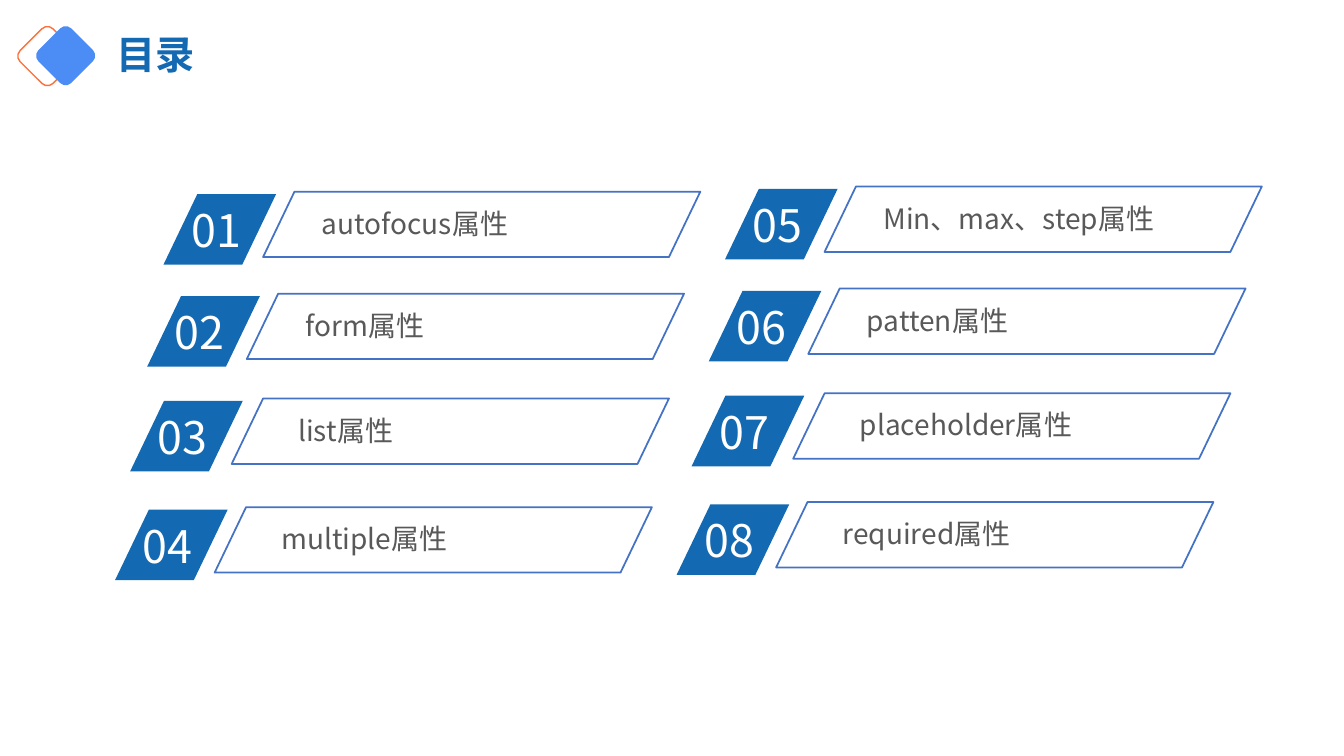
from dataclasses import dataclass

from lxml.etree import SubElement as Sub
from pptx import Presentation
from pptx.dml.color import RGBColor as RGB
from pptx.enum.shapes import MSO_SHAPE as Kind
from pptx.enum.text import MSO_ANCHOR as Anchor, PP_ALIGN as Align
from pptx.oxml.ns import qn
from pptx.util import Cm, Pt


@dataclass(frozen=True)
class Theme:
    font: str = "Noto Sans CJK SC"
    main: str = "1369B2"
    edge: str = "4472C4"
    ink: str = "595959"
    pale: str = "FFFFFF"
    sky: str = "4C8CF5"
    warm: str = "FD703B"
    head: int = 28
    num: int = 32
    label: int = 20


def write(frame, text, size, color, font, bold=False, anchor=Anchor.TOP,
          pad=(0.25, 0.13), space=None):
    frame.word_wrap = True
    frame.vertical_anchor = anchor
    frame.margin_left = frame.margin_right = Cm(pad[0])
    frame.margin_top = frame.margin_bottom = Cm(pad[1])
    para = frame.paragraphs[0]
    para.alignment = Align.LEFT
    if space:
        para.line_spacing = space
    run = para.add_run()
    run.text = text
    run.font.size, run.font.bold, run.font.name = Pt(size), bold, font
    run.font.color.rgb = RGB.from_string(color)
    # East Asian glyphs use the same face
    Sub(run.font._element, qn("a:ea"), typeface=font)


class Page:
    def __init__(self, deck, theme):
        self.theme = theme
        self.slide = deck.slides.add_slide(deck.slide_layouts[5])

    def title(self, text, left, top, width, height):
        box = self.slide.shapes.title
        box.left, box.top = Cm(left), Cm(top)
        box.width, box.height = Cm(width), Cm(height)
        write(box.text_frame, text, self.theme.head, self.theme.main,
              self.theme.font, bold=True, anchor=Anchor.MIDDLE, space=0.9)

    def shape(self, kind, left, top, width, height, fill=None, line=None,
              weight=1, slant=None, turn=0):
        item = self.slide.shapes.add_shape(
            kind, Cm(left), Cm(top), Cm(width), Cm(height))
        item.shadow.inherit = False
        item.rotation = turn
        if slant:
            item.adjustments[0] = slant
        if fill:
            item.fill.solid()
            item.fill.fore_color.rgb = RGB.from_string(fill)
        else:
            item.fill.background()
        if line:
            item.line.color.rgb = RGB.from_string(line)
            item.line.width = Pt(weight)
        else:
            item.line.fill.background()

    def text(self, words, left, top, width, height, **style):
        box = self.slide.shapes.add_textbox(
            Cm(left), Cm(top), Cm(width), Cm(height))
        write(box.text_frame, words, font=self.theme.font, **style)

    def entry(self, num, words, badge, bar, top, indent):
        look = self.theme
        # Number badge
        self.shape(Kind.PARALLELOGRAM, badge, top + 0.06, 2.84, 1.78,
                   fill=look.main, slant=0.48)
        self.text(f"{num:02}", badge + 0.45, top + 0.15, 2.72, 1.63,
                  size=look.num, color=look.pale)
        # Outlined bar with its label
        self.text(words, bar + indent, top + 0.27, 8.08, 1.1,
                  size=look.label, color=look.ink, pad=(0.18, 0.1))
        self.shape(Kind.PARALLELOGRAM, bar, top, 11.02, 1.65,
                   line=look.edge, weight=1.25, slant=0.48)


def main():
    deck = Presentation()
    deck.slide_width, deck.slide_height = Cm(33.87), Cm(19.05)
    theme = Theme()
    page = Page(deck, theme)

    # Heading with its two diamonds
    page.shape(Kind.ROUNDED_RECTANGLE, 0.61, 0.83, 1.17, 1.17,
               line=theme.warm, turn=45)
    page.shape(Kind.ROUNDED_RECTANGLE, 1.07, 0.82, 1.17, 1.17,
               fill=theme.sky, turn=45)
    page.title("目录", 2.69, 0.43, 13.03, 2.01)

    # Each row: badge left, bar left, top, label indent
    rows = [(4.12, 6.63, 4.83, 1.3), (3.71, 6.22, 7.4, 1.3),
            (3.28, 5.84, 10.04, 1.5), (2.9, 5.41, 12.78, 1.5)]
    topics = ["autofocus", "form", "list", "multiple",
              "Min、max、step", "patten", "placeholder", "required"]

    # Second column repeats the rows, moved right and slightly up
    for i, topic in enumerate(topics):
        col, row = divmod(i, len(rows))
        badge, bar, top, indent = rows[row]
        move = col * 14.15
        page.entry(i + 1, topic + "属性", badge + move, bar + move,
                   top - col * 0.13, indent)

    deck.save("out.pptx")


if __name__ == "__main__":
    main()
